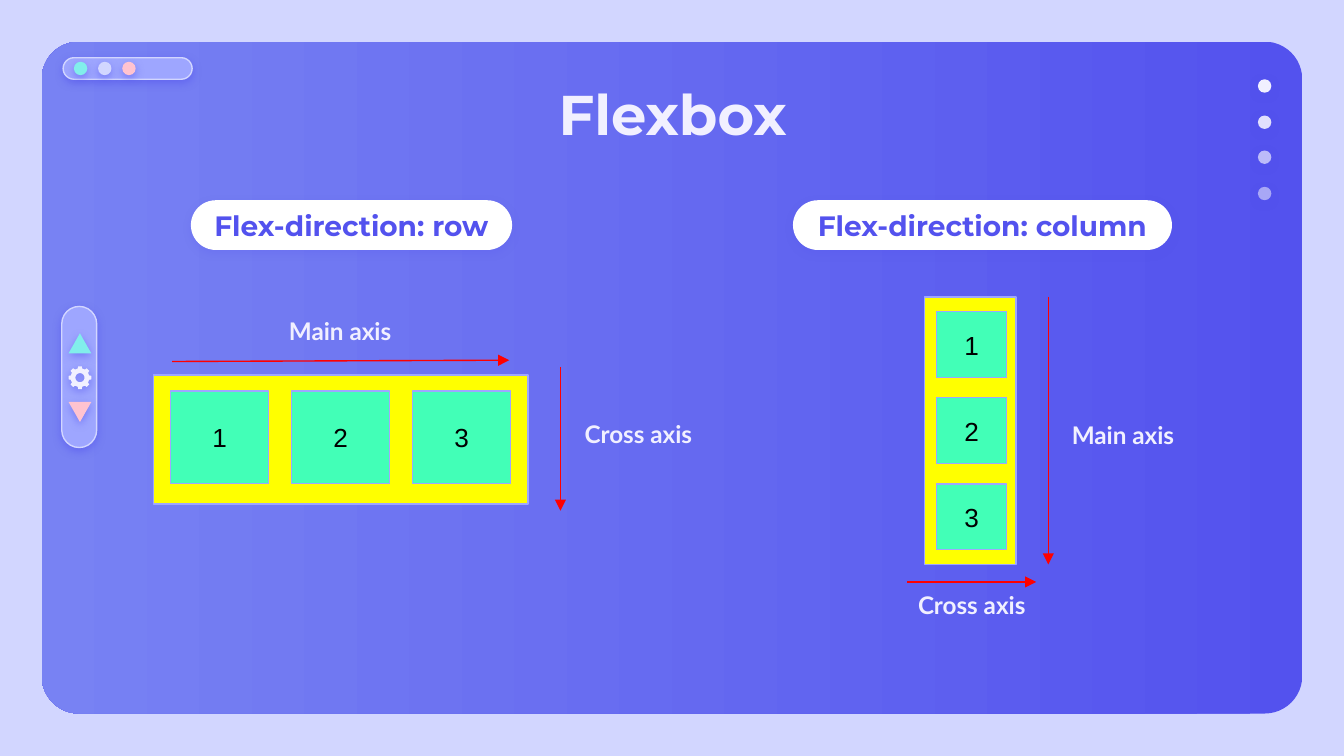
from dataclasses import dataclass
from math import cos, pi, sin

from lxml.etree import SubElement
from pptx import Presentation
from pptx.dml.color import RGBColor
from pptx.enum.shapes import MSO_CONNECTOR, MSO_SHAPE
from pptx.enum.text import MSO_ANCHOR, PP_ALIGN
from pptx.oxml.ns import qn
from pptx.util import Pt

PX = 9144


@dataclass(frozen=True)
class Theme:
    pale: str = "D2D6FF"
    deep: str = "5352EE"
    mid: str = "7882F3"
    rim: str = "9EA6FF"
    aqua: str = "81EEEB"
    pink: str = "FFC3D0"
    snow: str = "F1F0FF"
    white: str = "FFFFFF"
    black: str = "000000"
    frame: str = "FFFF00"
    cell: str = "42FFB7"
    arrow: str = "FF0000"
    head: str = "Montserrat"
    body: str = "Lato"
    digit: str = "Arial"
    title: int = 30
    label: int = 15
    number: int = 14
    note: int = 13
    stroke: float = 0.75


T = Theme()


def rgb(color):
    return RGBColor.from_string(color)


def shade(shape, alpha):
    effects = shape._element.spPr.find(qn("a:effectLst"))
    outer = SubElement(effects, qn("a:outerShdw"), blurRad=str(Pt(4.5)),
                       dist=str(Pt(1.5)), dir="5400000", algn="bl", rotWithShape="0")
    color = SubElement(outer, qn("a:srgbClr"), val=T.deep)
    SubElement(color, qn("a:alpha"), val=str(alpha * 1000))


def paint(shape, fill, line=None, shadow=0):
    shape.shadow.inherit = False
    shape.fill.solid()
    shape.fill.fore_color.rgb = rgb(fill)
    if line:
        shape.line.color.rgb = rgb(line)
        shape.line.width = Pt(T.stroke)
    else:
        shape.line.fill.background()
    if shadow:
        shade(shape, shadow)


def block(slide, kind, box, fill, line=None, shadow=0):
    shape = slide.shapes.add_shape(kind, *(n * PX for n in box))
    paint(shape, fill, line, shadow)
    return shape


def pill(slide, box, fill, line=None, shadow=50):
    shape = block(slide, MSO_SHAPE.ROUNDED_RECTANGLE, box, fill, line, shadow)
    shape.adjustments[0] = 0.5
    return shape


def write(shape, text, font, size, color, bold=True, anchor=MSO_ANCHOR.MIDDLE):
    frame = shape.text_frame
    frame.text = text
    frame.word_wrap = True
    frame.vertical_anchor = anchor
    frame.margin_left = frame.margin_right = 10 * PX
    frame.margin_top = frame.margin_bottom = 10 * PX
    line = frame.paragraphs[0]
    line.alignment = PP_ALIGN.CENTER
    style = line.runs[0].font
    style.name, style.size, style.bold = font, Pt(size), bold
    style.color.rgb = rgb(color)


def note(slide, box, text, font=T.body, size=T.note):
    shape = slide.shapes.add_textbox(*(n * PX for n in box))
    write(shape, text, font, size, T.snow, anchor=MSO_ANCHOR.TOP)


def arrow(slide, *ends):
    line = slide.shapes.add_connector(MSO_CONNECTOR.STRAIGHT, *(n * PX for n in ends))
    line.line.color.rgb = rgb(T.arrow)
    line.line.width = Pt(T.stroke)
    SubElement(line.line._get_or_add_ln(), qn("a:tailEnd"), type="triangle")
    SubElement(line._element.spPr, qn("a:effectLst"))


def window(slide, x, y, w, h):
    panel = block(slide, MSO_SHAPE.ROUNDED_RECTANGLE, (x, y, w, h), T.deep)
    panel.adjustments[0] = 0.056
    panel.fill.gradient()
    panel.fill.gradient_angle = 180
    for stop, color in zip(panel.fill.gradient_stops, (T.deep, T.mid)):
        stop.color.rgb = rgb(color)
    pill(slide, (x + 16, y + 12, 96, 16), T.rim, T.pale)
    for i, color in enumerate((T.aqua, T.pale, T.pink)):
        block(slide, MSO_SHAPE.OVAL, (x + 24 + 18 * i, y + 15, 10, 10), color, shadow=50)


def dots(slide, x, y, gap):
    for i, alpha in enumerate((100, 90, 67, 54)):
        dot = block(slide, MSO_SHAPE.OVAL, (x, y + round(gap * i), 10, 10), T.snow, shadow=50)
        if alpha < 100:
            color = dot._element.spPr.find(qn("a:solidFill"))[0]
            SubElement(color, qn("a:alpha"), val=str(alpha * 1000))


def gear(slide, x, y):
    unit = 100

    def spot(radius, turn):
        angle = 2 * pi * turn
        return (round((x + radius * cos(angle)) * unit),
                round((y + radius * sin(angle)) * unit))

    teeth = [spot(radius, (i + shift) / 8) for i in range(8)
             for radius, shift in ((8.6, -0.2), (8.6, 0.2), (7, 0.3), (7, 0.7))]
    hole = [spot(3.4, -i / 24) for i in range(24)]
    path = slide.shapes.build_freeform(*teeth[0], scale=PX / unit)
    path.add_line_segments(teeth[1:], close=True)
    path.move_to(*hole[0])
    path.add_line_segments(hole[1:], close=True)
    paint(path.convert_to_shape(), T.snow, shadow=52)


def tools(slide, x, y, w, h):
    pill(slide, (x, y, w, h), T.rim, T.pale)
    up = (x + 5, y + 20, 17, 15)
    down = (x + 5, y + 71, 17, 15)
    block(slide, MSO_SHAPE.ISOSCELES_TRIANGLE, up, T.aqua, shadow=50)
    block(slide, MSO_SHAPE.ISOSCELES_TRIANGLE, down, T.pink, shadow=50).rotation = 180
    gear(slide, x + 13.5, y + 53)


def label(slide, box, text):
    shape = pill(slide, box, T.white, shadow=18)
    write(shape, text, T.head, T.label, T.deep)


def flex(slide, box, cell, step):
    x, y, w, h = box
    left, top, wide, high = cell
    block(slide, MSO_SHAPE.RECTANGLE, box, T.frame, T.rim)
    for i in range(3):
        place = (x + left + step[0] * i, y + top + step[1] * i, wide, high)
        item = block(slide, MSO_SHAPE.RECTANGLE, place, T.cell, T.rim)
        write(item, str(i + 1), T.digit, T.number, T.black, bold=False)


def row(slide, x, y):
    label(slide, (x + 28, y, 239, 37), "Flex-direction: row")
    flex(slide, (x, y + 130, 279, 96), (13, 12, 73, 69), (90, 0))
    arrow(slide, x + 14, y + 120, x + 265, y + 119)
    note(slide, (x + 73, y + 76, 132, 36), "Main axis")
    arrow(slide, x + 303, y + 124, x + 303, y + 231)
    note(slide, (x + 309, y + 153, 104, 36), "Cross axis")


def column(slide, x, y):
    label(slide, (x, y, 282, 37), "Flex-direction: column")
    flex(slide, (x + 98, y + 72, 68, 199), (9, 11, 52, 49), (0, 64))
    arrow(slide, x + 190, y + 72, x + 190, y + 271)
    note(slide, (x + 195, y + 154, 101, 36), "Main axis")
    arrow(slide, x + 85, y + 284, x + 181, y + 284)
    note(slide, (x + 67, y + 280, 132, 36), "Cross axis")


def main():
    deck = Presentation()
    deck.slide_width = 1000 * PX
    deck.slide_height = deck.slide_width * 9 // 16
    slide = deck.slides.add_slide(deck.slide_layouts[6])
    slide.background.fill.solid()
    slide.background.fill.fore_color.rgb = rgb(T.pale)
    window(slide, 31, 31, 938, 500)
    dots(slide, 936, 59, 26.7)
    note(slide, (79, 49, 843, 63), "Flexbox", T.head, T.title)
    tools(slide, 46, 228, 26, 105)
    row(slide, 114, 149)
    column(slide, 590, 149)
    deck.save("out.pptx")


if __name__ == "__main__":
    main()
